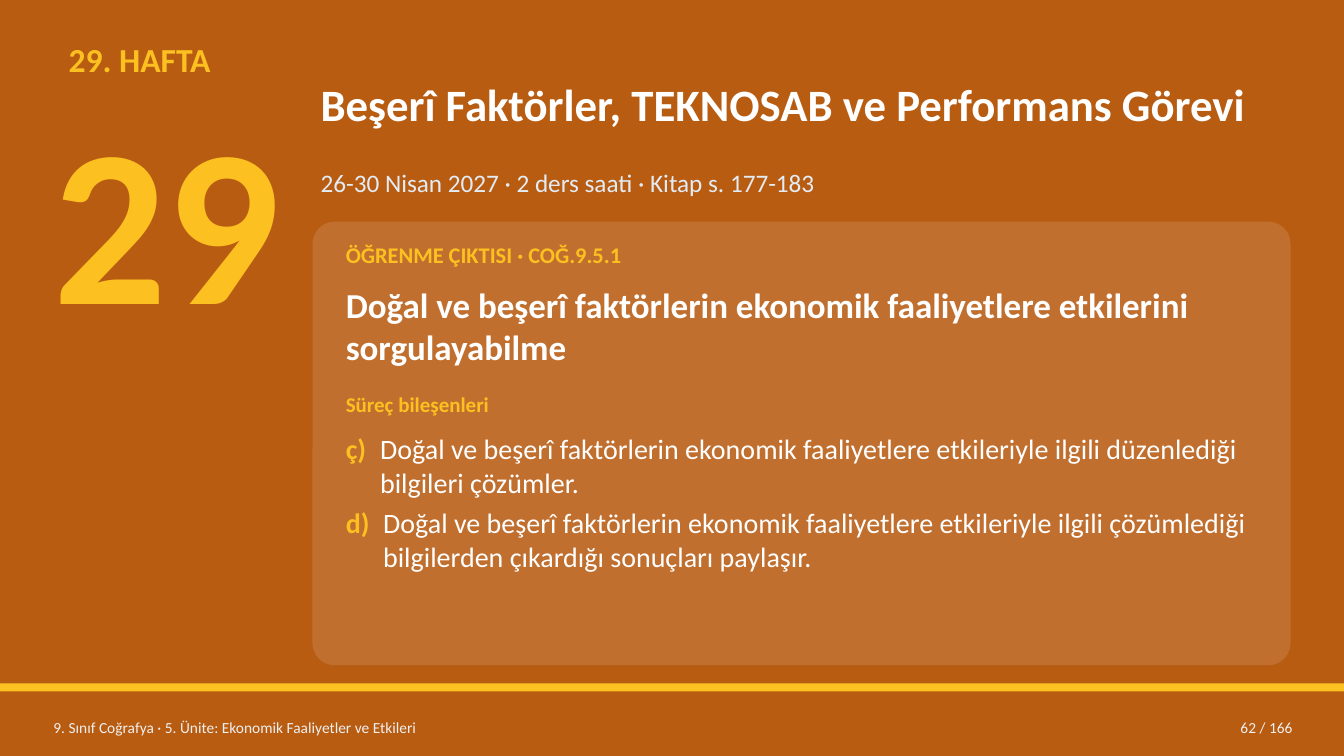
from dataclasses import dataclass

from pptx import Presentation
from pptx.dml.color import RGBColor as RGB
from pptx.enum.shapes import MSO_SHAPE as SHAPE
from pptx.enum.text import MSO_ANCHOR as ANCHOR, PP_ALIGN as ALIGN
from pptx.oxml import parse_xml
from pptx.oxml.ns import nsdecls
from pptx.util import Inches, Pt


@dataclass(frozen=True)
class Theme:
    font: str = "Calibri"
    ground: str = "B85C12"
    accent: str = "FCC021"
    white: str = "FFFFFF"
    date: str = "E3ECF5"
    footer: str = "F0F0F0"
    number_size: int = 160
    title_size: int = 32
    outcome_size: int = 25
    week_size: int = 24
    item_size: int = 20
    date_size: int = 18
    code_size: int = 16
    steps_size: int = 15
    footer_size: int = 11


def add_text(p, text, font, size, color, bold=False):
    r = p.add_run()
    r.text = text
    r.font.name = font
    r.font.size = Pt(size)
    r.font.bold = bold
    r.font.color.rgb = RGB.from_string(color)


class WeekSlide:
    """Draws a week slide on a grid of ten columns and ten rows to the inch."""

    CELL = Inches(0.1)
    COLS, ROWS = 133.3, 75

    def __init__(self, prs, theme):
        self.theme = theme
        prs.slide_width, prs.slide_height = self.grid(self.COLS, self.ROWS)
        self.s = prs.slides.add_slide(prs.slide_layouts[6])

    def grid(self, *cells):
        return [round(c * self.CELL) for c in cells]

    def block(self, *box, color, kind=SHAPE.RECTANGLE, radius=None, opacity=None):
        sp = self.s.shapes.add_shape(kind, *self.grid(*box))
        sp.shadow.inherit = False
        sp.line.fill.background()
        sp.fill.solid()
        sp.fill.fore_color.rgb = RGB.from_string(color)
        if radius is not None:
            sp.adjustments[0] = radius
        if opacity is not None:
            rgb = sp.fill._xPr.find(".//{*}srgbClr")
            rgb.append(parse_xml(f'<a:alpha {nsdecls("a")} val="{opacity * 1000}"/>'))

    def frame(self, *box, anchor=ANCHOR.TOP, inset=0.4):
        tf = self.s.shapes.add_textbox(*self.grid(*box)).text_frame
        tf.word_wrap = True
        tf.vertical_anchor = anchor
        tf.margin_left = tf.margin_right = Inches(0.08)
        tf.margin_top = tf.margin_bottom = self.grid(inset)[0]
        return tf

    def label(self, text, *box, size, color, bold=False, align=ALIGN.LEFT, **frame):
        p = self.frame(*box, **frame).paragraphs[0]
        p.alignment = align
        add_text(p, text, self.theme.font, size, color, bold)

    def items(self, rows, *box):
        t = self.theme
        tf = self.frame(*box)
        for i, (mark, text, hang) in enumerate(rows):
            p = tf.add_paragraph() if i else tf.paragraphs[0]
            indent = self.grid(hang)[0]
            pPr = p._p.get_or_add_pPr()
            pPr.set("marL", str(indent))
            pPr.set("indent", str(-indent))
            if i < len(rows) - 1:
                p.space_after = Pt(5)
            add_text(p, mark + "\t", t.font, t.item_size, t.accent, bold=True)
            add_text(p, text, t.font, t.item_size, t.white)


def main():
    prs = Presentation()
    t = Theme()
    s = WeekSlide(prs, t)
    main_x, main_w = 31, 97
    card_x, card_w = 33.5, 92
    foot_y, foot_h = 70.4, 3.6

    s.block(0, 0, s.COLS, s.ROWS, color=t.ground)
    s.block(0, 67.8, s.COLS, 0.8, color=t.accent)

    s.label("29. HAFTA", 6, 3.5, 26, 5.5, size=t.week_size, color=t.accent, bold=True)
    s.label("29", 4.5, 8, 26, 27.5, size=t.number_size, color=t.accent, bold=True, inset=0)
    s.label("Beşerî Faktörler, TEKNOSAB ve Performans Görevi", main_x, 4.5, main_w, 11.5,
            size=t.title_size, color=t.white, bold=True, anchor=ANCHOR.MIDDLE)
    s.label("26-30 Nisan 2027 · 2 ders saati · Kitap s. 177-183", main_x, 16.2, main_w, 4.5,
            size=t.date_size, color=t.date)

    s.block(main_x, 22, main_w, 44, color=t.white, kind=SHAPE.ROUNDED_RECTANGLE,
            radius=0.05, opacity=12)
    s.label("ÖĞRENME ÇIKTISI · COĞ.9.5.1", card_x, 23.5, card_w, 4,
            size=t.code_size, color=t.accent, bold=True)
    s.label("Doğal ve beşerî faktörlerin ekonomik faaliyetlere etkilerini sorgulayabilme",
            card_x, 27.7, card_w, 9.5, size=t.outcome_size, color=t.white, bold=True)
    s.label("Süreç bileşenleri", card_x, 38.4, card_w, 3.8,
            size=t.steps_size, color=t.accent, bold=True)
    s.items([
        ("ç)", "Doğal ve beşerî faktörlerin ekonomik faaliyetlere etkileriyle ilgili "
               "düzenlediği bilgileri çözümler.", 3.4),
        ("d)", "Doğal ve beşerî faktörlerin ekonomik faaliyetlere etkileriyle ilgili "
               "çözümlediği bilgilerden çıkardığı sonuçları paylaşır.", 3.7),
    ], card_x, 42.4, card_w, 22.3)

    footer = dict(size=t.footer_size, color=t.footer, anchor=ANCHOR.MIDDLE)
    s.label("9. Sınıf Coğrafya · 5. Ünite: Ekonomik Faaliyetler ve Etkileri",
            4.5, foot_y, 76, foot_h, **footer)
    s.label("62 / 166", 113, foot_y, 16, foot_h, align=ALIGN.RIGHT, **footer)

    prs.save("out.pptx")


if __name__ == "__main__":
    main()
